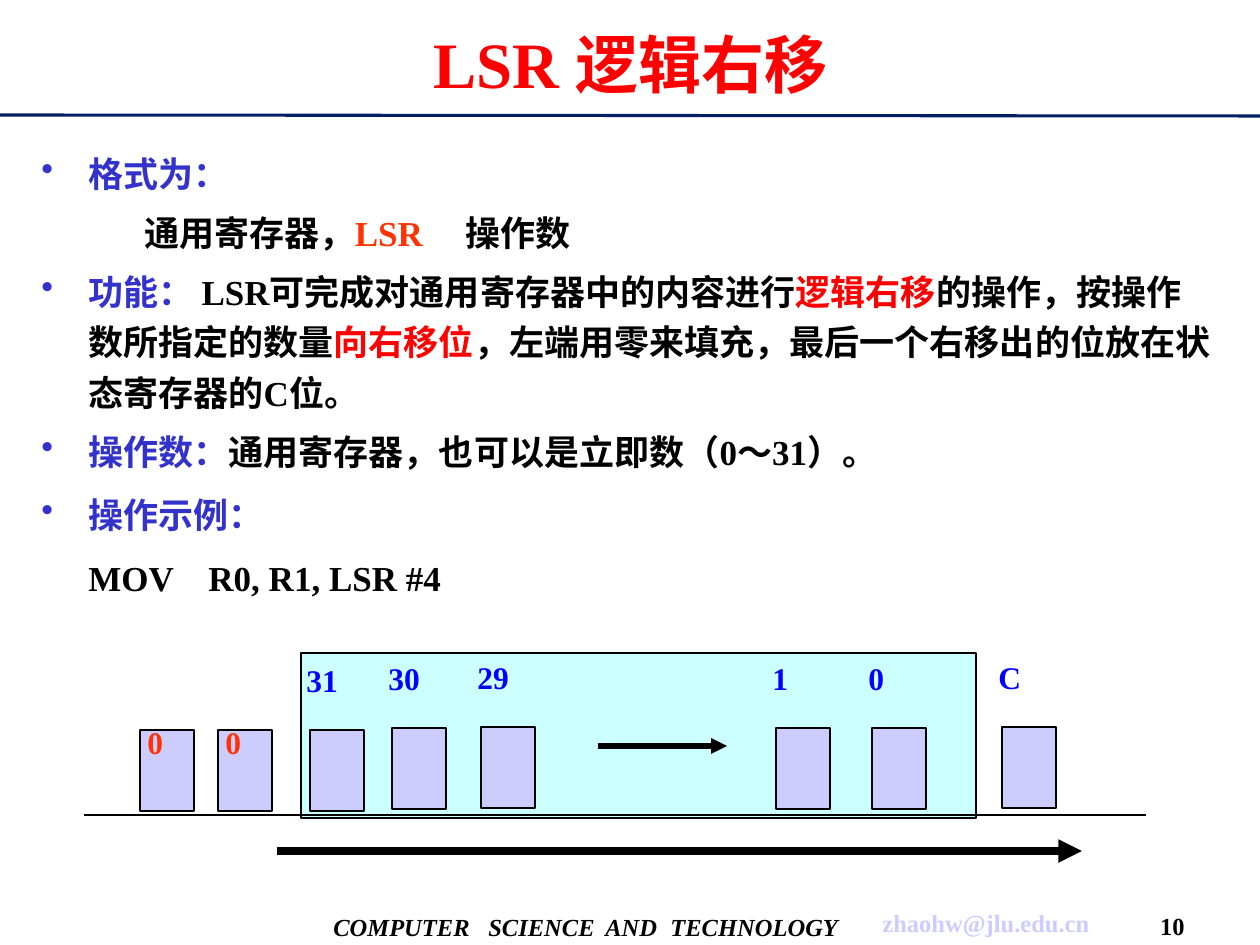
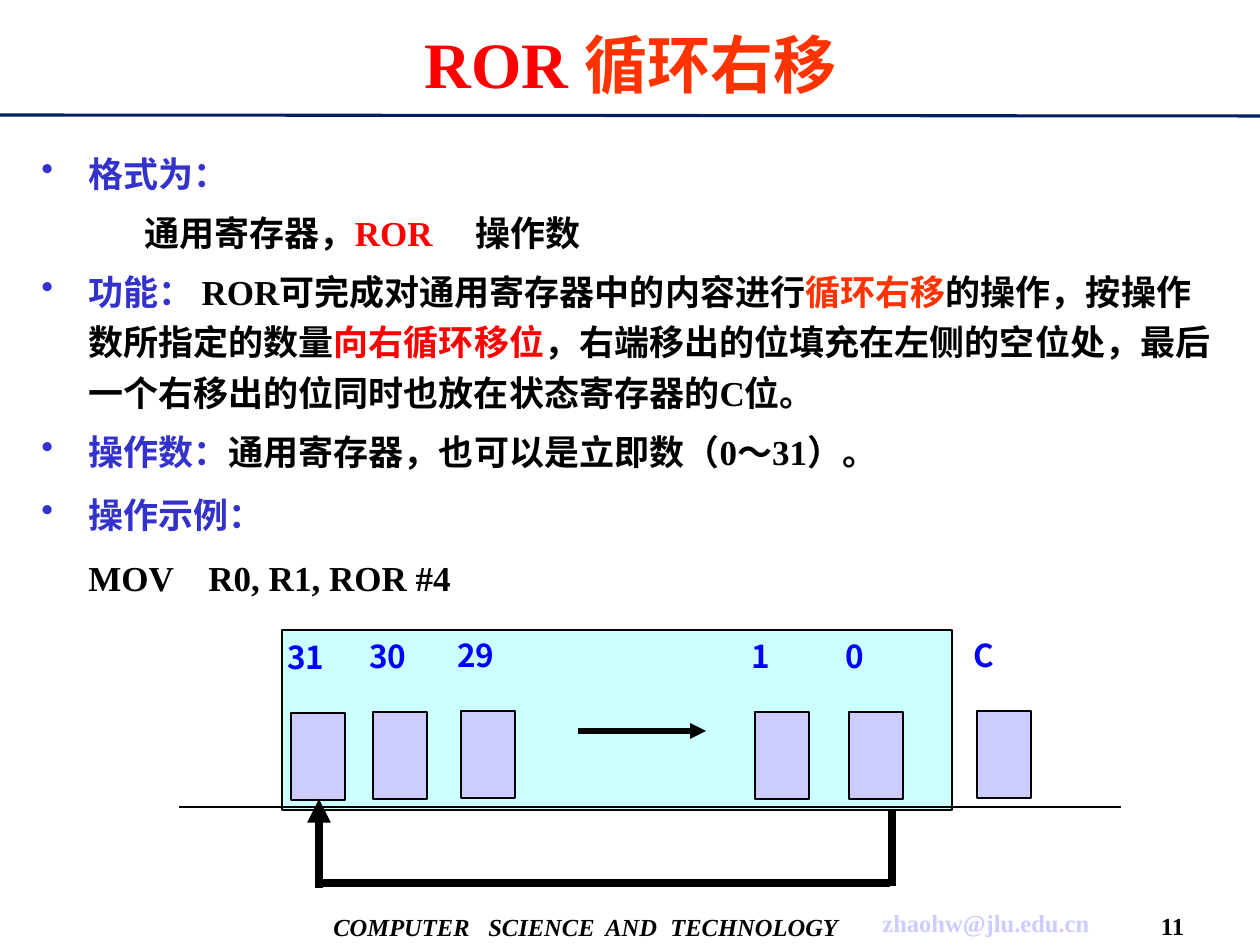
"""Build two slides on the LSR and ROR shift operations."""
import pptx
import pptx.util
import pptx.dml.color
import pptx.enum.shapes
import pptx.enum.text
import pptx.oxml.ns
from lxml import etree

PX = 914400 / 126
COLOURS = {
    "black": "000000", "red": "FF0000", "orange": "FF3300", "indigo": "3333CC",
    "blue": "0000FF", "lilac": "CCCCFF", "aqua": "CCFFFF", "navy": "001E64",
}
RGB = {name: pptx.dml.color.RGBColor.from_string(value) for name, value in COLOURS.items()}
LATIN, CJK = "Times New Roman", "Noto Sans CJK SC"
ALIGN = pptx.enum.text.PP_ALIGN
ANCHOR = pptx.enum.text.MSO_ANCHOR
qn = pptx.oxml.ns.qn


def add_text(page, place, paras, size, align=ALIGN.LEFT, anchor=ANCHOR.TOP,
             font=LATIN, italic=False, wrap=True):
    """Add a text box; a para is (runs, options) and a run is (text, colour[, size])."""
    box = page.shapes.add_textbox(*[round(value * PX) for value in place])
    frame = box.text_frame
    frame.word_wrap = wrap
    frame.vertical_anchor = anchor
    for index, (runs, options) in enumerate(paras):
        para = frame.paragraphs[0] if index == 0 else frame.add_paragraph()
        para.alignment = align
        properties = para._p.get_or_add_pPr()
        if options.get("bullet"):
            properties.set("marL", str(round(47 * PX)))
            properties.set("indent", str(round(-47 * PX)))
            colour = etree.SubElement(properties, qn("a:buClr"))
            etree.SubElement(colour, qn("a:srgbClr"), val=COLOURS["indigo"])
            etree.SubElement(properties, qn("a:buChar"), char="•")
        if options.get("tabs"):
            tabs = etree.SubElement(properties, qn("a:tabLst"))
            for stop in options["tabs"]:
                etree.SubElement(tabs, qn("a:tab"), pos=str(round(stop * PX)), algn="l")
        if "after" in options:
            para.line_spacing = pptx.util.Pt(28.75)
            para.space_before = pptx.util.Pt(5 if index else 0)
            para.space_after = pptx.util.Pt(options["after"])
        for text, colour, *own_size in runs:
            span = para.add_run()
            span.text = text
            span.font.size = pptx.util.Pt(own_size[0] if own_size else size)
            span.font.bold = True
            span.font.italic = italic
            span.font.color.rgb = RGB[colour]
            span.font.name = font
            etree.SubElement(span._r.get_or_add_rPr(), qn("a:ea"), typeface=CJK)


def add_line(page, ends, width, colour="black", arrow=False):
    """Add a straight line, with an arrowhead at its end if asked."""
    line = page.shapes.add_connector(
        pptx.enum.shapes.MSO_CONNECTOR.STRAIGHT, *[round(value * PX) for value in ends])
    line.line.width = pptx.util.Pt(width)
    line.line.color.rgb = RGB[colour]
    if arrow:
        etree.SubElement(line.line._get_or_add_ln(), qn("a:tailEnd"), type="triangle")
    etree.SubElement(line._element.spPr, qn("a:effectLst"))


LESSONS = [
    {
        "number": "10", "operation": "LSR", "name": "逻辑右移",
        "name_colour": "red", "format_colour": "orange", "operand_tab": 424,
        "direction": "向右移位",
        "effect": "，左端用零来填充，最后一个右移出的位放在状态寄存器的C位。",
        "register": (301, 653, 675, 165), "cell_height": 81,
        "label_font": LATIN, "label_rise": 75,
        "cells": [("31", 310, 730), ("30", 392, 728), ("29", 481, 727),
                  ("1", 776, 728), ("0", 872, 728), ("C", 1002, 727)],
        "fill_cells": [140, 218],
        "lines": [((84, 815, 1146, 815), 0.75, False),
                  ((598, 746, 727, 746), 3, True),
                  ((277, 851, 1082, 851), 4.5, True)],
    },
    {
        "number": "11", "operation": "ROR", "name": "循环右移",
        "name_colour": "orange", "format_colour": "red", "operand_tab": 434,
        "direction": "向右循环移位",
        "effect": "，右端移出的位填充在左侧的空位处，最后一个右移出的位同时也放在状态寄存器的C位。",
        "register": (282, 630, 670, 180), "cell_height": 87,
        "label_font": CJK, "label_rise": 81,
        "cells": [("31", 291, 713), ("30", 373, 712), ("29", 461, 711),
                  ("1", 755, 712), ("0", 849, 712), ("C", 977, 711)],
        "fill_cells": [],
        "lines": [((179, 807, 1121, 807), 0.75, False),
                  ((578, 731, 706, 731), 3, True),
                  ((892, 810, 892, 886), 4.5, False),
                  ((890, 883, 323, 883), 4.5, False),
                  ((319, 888, 319, 799), 4.5, True)],
    },
]

deck = pptx.Presentation()
deck.slide_width = round(1260 * PX)
deck.slide_height = round(945 * PX)

for lesson in LESSONS:
    page = deck.slides.add_slide(deck.slide_layouts[6])
    operation = lesson["operation"]

    add_line(page, (0, 115, 1260, 116), 1.75, "navy")
    add_text(page, (321, 900, 530, 53),
             [([("COMPUTER\tSCIENCE\tAND\tTECHNOLOGY", "black")], {"tabs": [155, 272, 337]})],
             14, anchor=ANCHOR.MIDDLE, italic=True, wrap=False)
    for text, colour, place in [("zhaohw@jlu.edu.cn", "lilac", (860, 900, 252, 45)),
                                (lesson["number"], "black", (1145, 906, 55, 39))]:
        add_text(page, place, [([(text, colour)], {})], 14, ALIGN.CENTER,
                 ANCHOR.MIDDLE, wrap=False)

    title = [(operation + " ", "red", 37), (lesson["name"], lesson["name_colour"])]
    add_text(page, (40, 10, 1181, 105), [(title, {})], 36, ALIGN.CENTER, ANCHOR.MIDDLE)

    add_text(page, (29, 138, 1199, 490), [
        ([("格式为：", "indigo")], {"bullet": True, "after": 0}),
        ([("\t通用寄存器，", "black"), (operation, lesson["format_colour"]),
          ("\t操作数", "black")], {"tabs": [103, lesson["operand_tab"]], "after": 0}),
        ([("功能： ", "indigo"),
          (operation + "可完成对通用寄存器中的内容进行", "black"),
          (lesson["name"], lesson["name_colour"]),
          ("的操作，按操作数所指定的数量", "black"),
          (lesson["direction"], "red"),
          (lesson["effect"], "black")], {"bullet": True, "after": 0}),
        ([("操作数：", "indigo"), ("通用寄存器，也可以是立即数（0～31）。", "black")],
         {"bullet": True, "after": 2.5}),
        ([("操作示例：", "indigo")], {"bullet": True, "after": 2.5}),
        ([(f"\tMOV\tR0, R1, {operation} #4", "black")], {"tabs": [47, 167], "after": 2.5}),
    ], 20)

    cell_size = (54, lesson["cell_height"])
    rectangles = [(lesson["register"], "aqua")]
    rectangles += [((left, top, *cell_size), "lilac") for _, left, top in lesson["cells"]]
    rectangles += [((left, 730, *cell_size), "lilac") for left in lesson["fill_cells"]]
    for place, fill in rectangles:
        shape = page.shapes.add_shape(pptx.enum.shapes.MSO_SHAPE.RECTANGLE,
                                      *[round(value * PX) for value in place])
        shape.shadow.inherit = False
        shape.fill.solid()
        shape.fill.fore_color.rgb = RGB[fill]
        shape.line.color.rgb = RGB["black"]
        shape.line.width = pptx.util.Pt(0.75)

    for label, left, top in lesson["cells"]:
        add_text(page, (left - 16, top - lesson["label_rise"], 97, 105),
                 [([(label, "blue")], {})], 18, ALIGN.JUSTIFY, font=lesson["label_font"])
    for left in lesson["fill_cells"]:
        add_text(page, (left - 5, 717, 54, 101), [([("0", "orange")], {})], 18, ALIGN.JUSTIFY)
    for ends, width, arrow in lesson["lines"]:
        add_line(page, ends, width, arrow=arrow)

deck.save("out.pptx")
